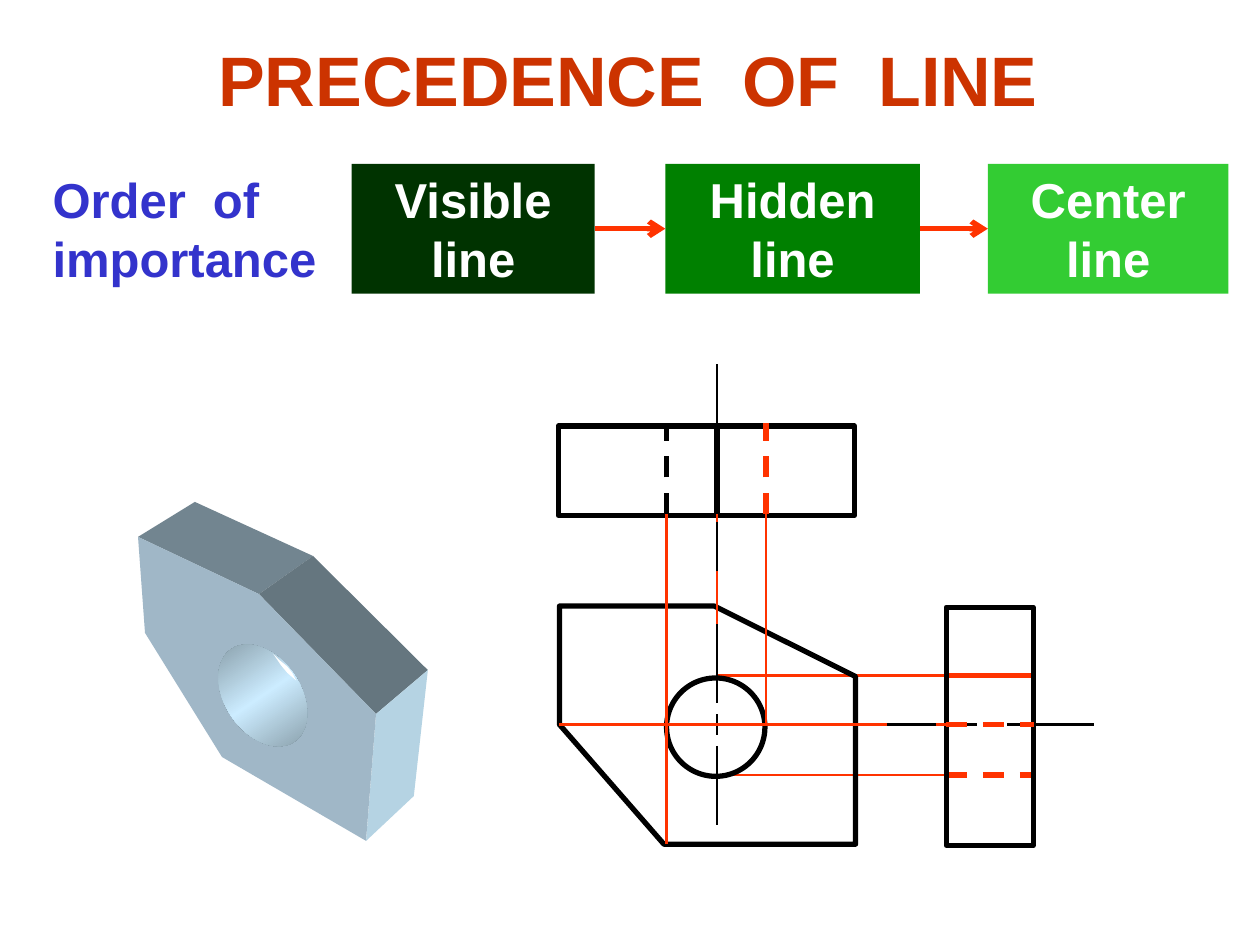
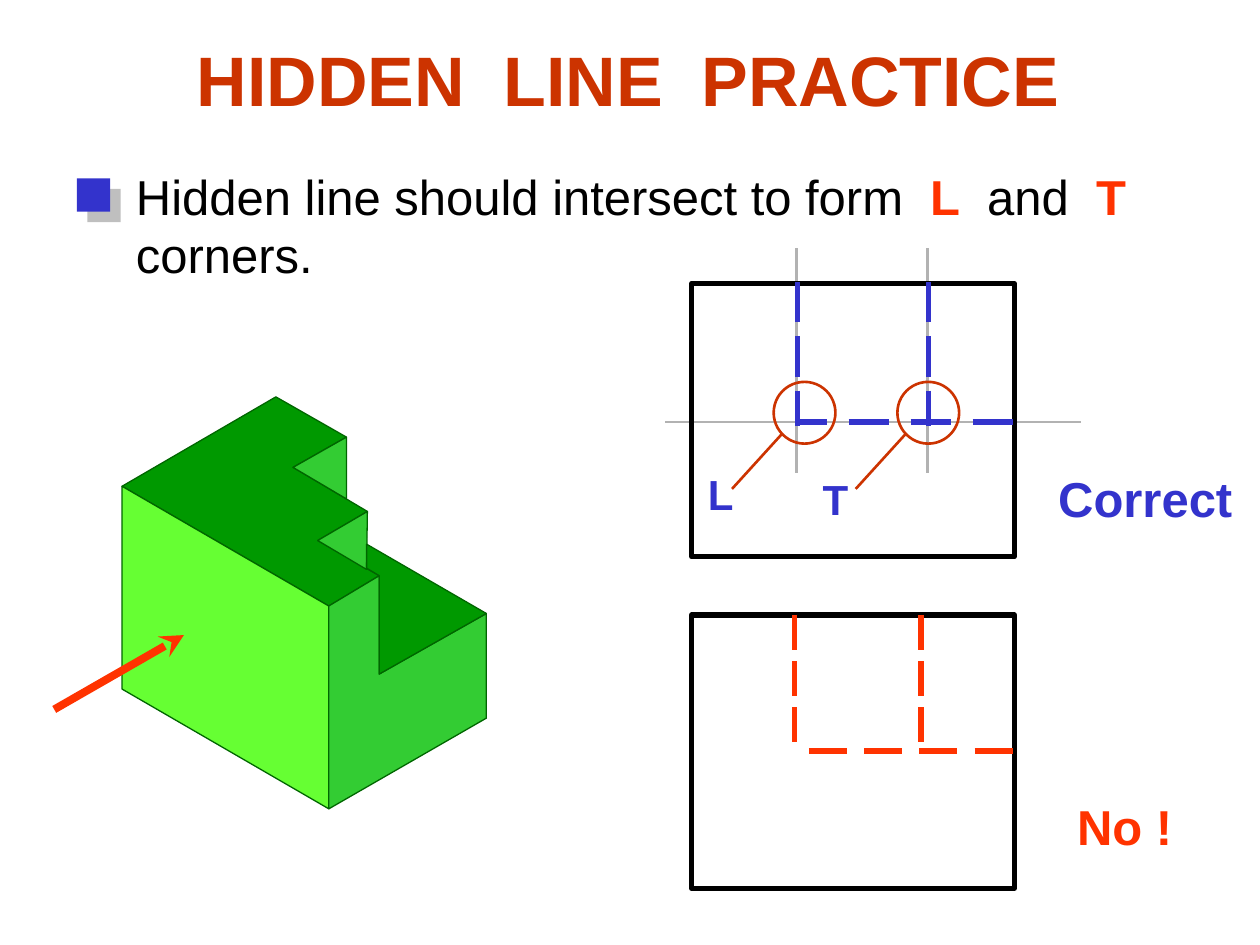
import copy
from dataclasses import dataclass

import pptx
import pptx.dml.color
import pptx.enum.dml
import pptx.enum.shapes
import pptx.enum.text
import pptx.oxml
import pptx.oxml.ns
import pptx.util
from lxml import etree

Pt = pptx.util.Pt
qn = pptx.oxml.ns.qn
SHAPE = pptx.enum.shapes.MSO_SHAPE
ALIGN = pptx.enum.text.PP_ALIGN
ANCHOR = pptx.enum.text.MSO_ANCHOR


@dataclass(frozen=True)
class Theme:
    font: str = "Arial"
    title: str = "CC3300"
    accent: str = "FF3300"
    blue: str = "3333CC"
    ink: str = "000000"
    white: str = "FFFFFF"
    guide: str = "B2B2B2"
    shadow: str = "808080"
    ranks: tuple = ("003300", "008000", "33CC33")
    steel_front: str = "A0B7C7"
    steel_top: str = "728590"
    steel_slope: str = "65767F"
    steel_side: str = "B5D3E3"
    hole: tuple = ("74868F", "CCECFF", "74868F")
    block_top: str = "009900"
    block_front: str = "66FF33"
    block_side: str = "33CC33"
    block_edge: str = "006600"
    title_size: float = 40
    body_size: float = 28
    label_size: float = 24
    thick: float = 3
    thin: float = 1.5
    hairline: float = 0.75


def rgb(value):
    return pptx.dml.color.RGBColor.from_string(value)


class Sheet:
    def __init__(self, deck, theme):
        self.deck = deck
        self.theme = theme
        self.page = None

    def start(self, title):
        self.page = self.deck.slides.add_slide(self.deck.slide_layouts[5])
        box = self.page.shapes.title
        box.left, box.top, box.width, box.height = Pt(53), Pt(0), Pt(612), Pt(90)
        frame = box.text_frame
        frame.text = title
        frame.vertical_anchor = ANCHOR.MIDDLE
        para = frame.paragraphs[0]
        para.alignment = ALIGN.CENTER
        self.set_font(para.font, self.theme.title_size, self.theme.title)

    def set_font(self, font, size, color, bold=True):
        font.name = self.theme.font
        font.size = Pt(size)
        font.bold = bold
        font.color.rgb = rgb(color)

    def fill_text(self, frame, lines, size, color, align=ALIGN.LEFT):
        frame.word_wrap = True
        frame.text = "\n".join(lines)
        for para in frame.paragraphs:
            para.alignment = align
            self.set_font(para.font, size, color)

    def text(self, left, top, width, height, lines, color, size=None):
        box = self.page.shapes.add_textbox(Pt(left), Pt(top), Pt(width), Pt(height))
        self.fill_text(box.text_frame, lines, size or self.theme.body_size, color)

    def rich_text(self, left, top, width, height, lines):
        box = self.page.shapes.add_textbox(Pt(left), Pt(top), Pt(width), Pt(height))
        box.text_frame.word_wrap = True
        para = box.text_frame.paragraphs[0]
        for number, spans in enumerate(lines):
            if number:
                para.add_line_break()
            for words, color, bold in spans:
                span = para.add_run()
                span.text = words
                self.set_font(span.font, self.theme.body_size, color, bold)

    def finish(self, shape, fill, line, width):
        shape.shadow.inherit = False
        if fill:
            shape.fill.solid()
            shape.fill.fore_color.rgb = rgb(fill)
        else:
            shape.fill.background()
        if line:
            shape.line.color.rgb = rgb(line)
            shape.line.width = Pt(width)
        else:
            shape.line.fill.background()
        return shape

    def shape(self, kind, left, top, width, height, fill=None, line=None, weight=3):
        shape = self.page.shapes.add_shape(kind, Pt(left), Pt(top), Pt(width), Pt(height))
        return self.finish(shape, fill, line, weight)

    def polygon(self, points, fill=None, line=None, weight=3):
        corners = [(Pt(x), Pt(y)) for x, y in points]
        builder = self.page.shapes.build_freeform(*corners[0])
        builder.add_line_segments(corners[1:], close=True)
        return self.finish(builder.convert_to_shape(), fill, line, weight)

    def line(self, x1, y1, x2, y2, color, weight, dashed=False, head=None):
        line = self.page.shapes.add_connector(
            pptx.enum.shapes.MSO_CONNECTOR.STRAIGHT, Pt(x1), Pt(y1), Pt(x2), Pt(y2))
        line.line.color.rgb = rgb(color)
        line.line.width = Pt(weight)
        if dashed:
            line.line.dash_style = pptx.enum.dml.MSO_LINE.DASH
        properties = line._element.spPr
        if head:
            etree.SubElement(properties.find(qn("a:ln")), qn("a:tailEnd"), type=head)
        etree.SubElement(properties, qn("a:effectLst"))
        return line

    def segments(self, across, first, last, step, length, color, vertical, clip=None):
        begin = first
        while begin < last:
            low = max(begin, clip or begin)
            high = min(begin + length, last)
            ends = (across, low, across, high) if vertical else (low, across, high, across)
            self.line(*ends, color, self.theme.thick)
            begin += step

    def gradient(self, shape, colors):
        shape.fill.gradient()
        shape.fill.gradient_angle = 0
        stops = shape._element.spPr.find(".//" + qn("a:gsLst"))
        stops.append(copy.deepcopy(stops[0]))
        for number, (stop, color) in enumerate(zip(shape.fill.gradient_stops, colors)):
            stop.color.rgb = rgb(color)
            stop.position = number / 2

    def drop_shadow(self, shape):
        effects = shape._element.spPr.find(qn("a:effectLst"))
        shadow = etree.SubElement(effects, qn("a:outerShdw"), dist=str(int(Pt(8.5))),
                                  dir="2700000", algn="ctr", rotWithShape="0")
        color = etree.SubElement(shadow, qn("a:srgbClr"), val=self.theme.shadow)
        etree.SubElement(color, qn("a:alpha"), val="50000")


def draw_importance(sheet):
    theme = sheet.theme
    sheet.text(23, 93.6, 175, 74.2, ["Order  of", "importance"], theme.blue)
    places = ((200.9, 139), (380.2, 145.4), (564.5, 137.5))
    previous = None
    for name, (left, width), fill in zip(("Visible", "Hidden", "Center"), places, theme.ranks):
        box = sheet.shape(SHAPE.RECTANGLE, left, 93.6, width, 74.2, fill)
        sheet.fill_text(box.text_frame, [name, "line"], theme.body_size, theme.white, ALIGN.CENTER)
        if previous:
            arrow = sheet.line(left - 40, 130.7, left, 130.7, theme.accent, theme.thick, head="arrow")
            arrow.begin_connect(previous, 3)
            arrow.end_connect(box, 1)
        previous = box


def draw_steel_plate(sheet):
    theme = sheet.theme
    top_left, bend, right = (78.9, 306.8), (148, 339.5), (214.9, 408)
    back_left, back_bend, back_right = (111.4, 286.8), (178.9, 317.7), (244.5, 382.9)
    bottom, back_bottom = (209.2, 480.5), (236.5, 454.9)
    sheet.polygon((top_left, back_left, back_bend, bend), theme.steel_top)
    sheet.polygon((bend, back_bend, back_right, right), theme.steel_slope)
    sheet.polygon((right, back_right, back_bottom, bottom), theme.steel_side)
    sheet.polygon((top_left, bend, right, bottom, (126.9, 432.6), (82.9, 361.7)), theme.steel_front)
    hole = sheet.shape(SHAPE.OVAL, 118.1, 375.8, 64.1, 43.2)
    hole.rotation = 55.6
    sheet.gradient(hole, theme.hole)
    sheet.polygon(((169.2, 388.8), (164.2, 384.5), (160.6, 380.2), (156.2, 373.7),
                   (159.8, 377.3), (164.2, 380.9), (167, 384.5)), theme.white)


def draw_views(sheet):
    theme = sheet.theme
    red, ink, thick, thin = theme.accent, theme.ink, theme.thick, theme.thin
    hole_left, axis_x, hole_right = 380.9, 409.7, 437.8
    hole_top, axis_y, hole_bottom = 385.9, 414, 442.8
    side_left, side_right = 540.7, 591
    plan_top, plan_bottom = 242, 293.8

    for y in (hole_top, hole_bottom):
        sheet.line(409, y, side_left, y, red, thin)
    sheet.line(side_left, hole_top, side_right, hole_top, red, thick)
    sheet.line(side_left, hole_bottom, side_right, hole_bottom, red, thick, dashed=True)

    sheet.polygon(((319.7, 346.3), (319.7, 414), (379.4, 482.4),
                   (488.9, 482.4), (488.9, 386.6), (408.2, 346.3)), line=ink)
    sheet.shape(SHAPE.OVAL, 380.9, 387.4, 56.2, 56.2, line=ink)
    sheet.shape(SHAPE.RECTANGLE, side_left, 347, 49.7, 136.1, line=ink)
    sheet.shape(SHAPE.RECTANGLE, 319, 243.4, 169.2, 51.1, line=ink)

    for top, bottom in ((356.4, 401.8), (408.2, 419.8), (426.2, 471.6)):
        sheet.line(axis_x, top, axis_x, bottom, ink, thin)
    sheet.line(319.7, axis_y, side_left, axis_y, red, thin)
    for left, right in ((506.9, 535), (540.7, 558), (561.6, 571), (575.3, 625)):
        sheet.line(left, axis_y, right, axis_y, ink, thin)
    sheet.line(side_left, axis_y, side_right, axis_y, red, thick, dashed=True)

    for x, bottom, color in ((hole_left, 482.4, ink), (hole_right, axis_y, red)):
        sheet.line(x, bottom, x, plan_bottom, red, thin)
        sheet.line(x, plan_bottom, x, plan_top, color, thick, dashed=True)
    sheet.line(axis_x, 356.4, axis_x, plan_bottom, red, thin)
    sheet.line(axis_x, plan_bottom, axis_x, plan_top, ink, thick)
    for top, bottom in ((208.1, plan_top), (298.1, 326.2)):
        sheet.line(axis_x, top, axis_x, bottom, ink, thin)


def draw_rule(sheet):
    theme = sheet.theme
    sheet.rich_text(70.6, 91.4, 600, 74.2, (
        (("Hidden line should intersect to form  ", theme.ink, False),
         ("L", theme.accent, True), ("  and  ", theme.ink, False), ("T", theme.accent, True)),
        (("corners.", theme.ink, False),)))
    bullet = sheet.shape(SHAPE.RECTANGLE, 44, 102, 19, 19, theme.blue)
    sheet.drop_shadow(bullet)


def draw_green_block(sheet):
    theme = sheet.theme
    left, corner = (69.8, 277.9), (187.9, 346.3)
    upper, middle, lower = (198, 249.8), (210, 292.3), (216.7, 329)
    upper_notch, lower_notch = (167.5, 267.1), (181.6, 308.9)
    base, step, ledge = (187.9, 462.2), (216.7, 385.2), (277.9, 350.6)
    faces = (
        (theme.block_top, (corner, left, (157.7, 226.8), upper, upper_notch,
                           middle, lower_notch, lower)),
        (theme.block_front, (left, (69.8, 393.8), base, corner)),
        (theme.block_side, (lower, corner, base, (277.9, 410.4), ledge, step)),
        (theme.block_side, (upper, (198, 285.1), upper_notch)),
        (theme.block_side, (middle, (209.5, 325.4), lower_notch)),
        (theme.block_top, (ledge, (209.5, 311), (209.5, 324.7), lower, step)),
    )
    for fill, points in faces:
        sheet.polygon(points, fill, theme.block_edge, theme.hairline)
    sheet.line(31, 405.4, 105.1, 362.9, theme.accent, 4.5, head="stealth")


def draw_corner_check(sheet):
    theme = sheet.theme
    blue, red = theme.blue, theme.accent
    sheet.line(380.2, 241.2, 617.8, 241.2, theme.guide, theme.thin)
    for x in (455, 529.9):
        sheet.line(x, 141.8, x, 270, theme.guide, theme.thin)
    for top in (162, 351.4):
        sheet.shape(SHAPE.RECTANGLE, 395.3, top, 184.3, 156.2, line=theme.ink)

    for x in (455.8, 530.6):
        sheet.segments(x, 161.3, 243.4, 31, 23, blue, True)
    sheet.segments(241.2, 449.6, 579, 35.4, 23, blue, False, clip=454.3)
    for x in (454, 526.3):
        sheet.segments(x, 351.4, 424.4, 26.4, 20, red, True)
    sheet.segments(429.1, 462.2, 579, 31.6, 21.6, red, False)

    for letter, ring_left, text_left, text_top in (("L", 442.1, 397.4, 264.2), ("T", 512.8, 463, 267.1)):
        sheet.shape(SHAPE.OVAL, ring_left, 218.2, 35.3, 35.3, line=theme.title, weight=theme.thin)
        sheet.line(ring_left + 5, 247.7, ring_left - 23.8, 279.4, theme.title, theme.thin)
        sheet.text(text_left, text_top, 32, 36, [letter], blue, theme.label_size)
    sheet.text(597.6, 264.2, 118, 41, ["Correct"], blue)
    sheet.text(608.4, 451.4, 75, 41, ["No !"], red)


def main():
    deck = pptx.Presentation()
    deck.slide_width, deck.slide_height = Pt(720), Pt(540)
    sheet = Sheet(deck, Theme())
    sheet.start("PRECEDENCE  OF  LINE")
    draw_importance(sheet)
    draw_steel_plate(sheet)
    draw_views(sheet)
    sheet.start("HIDDEN  LINE  PRACTICE")
    draw_rule(sheet)
    draw_green_block(sheet)
    draw_corner_check(sheet)
    deck.save("out.pptx")


if __name__ == "__main__":
    main()
